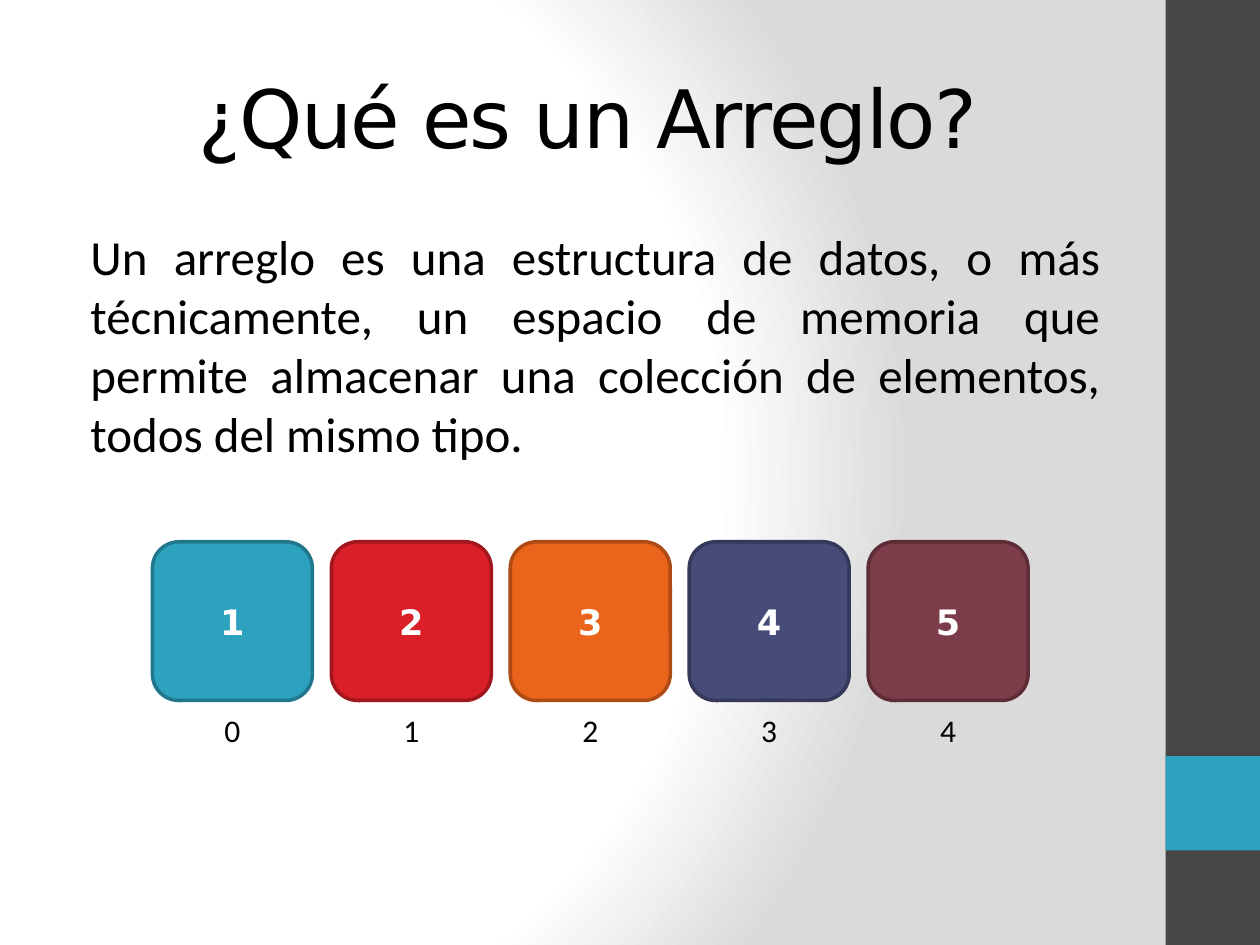
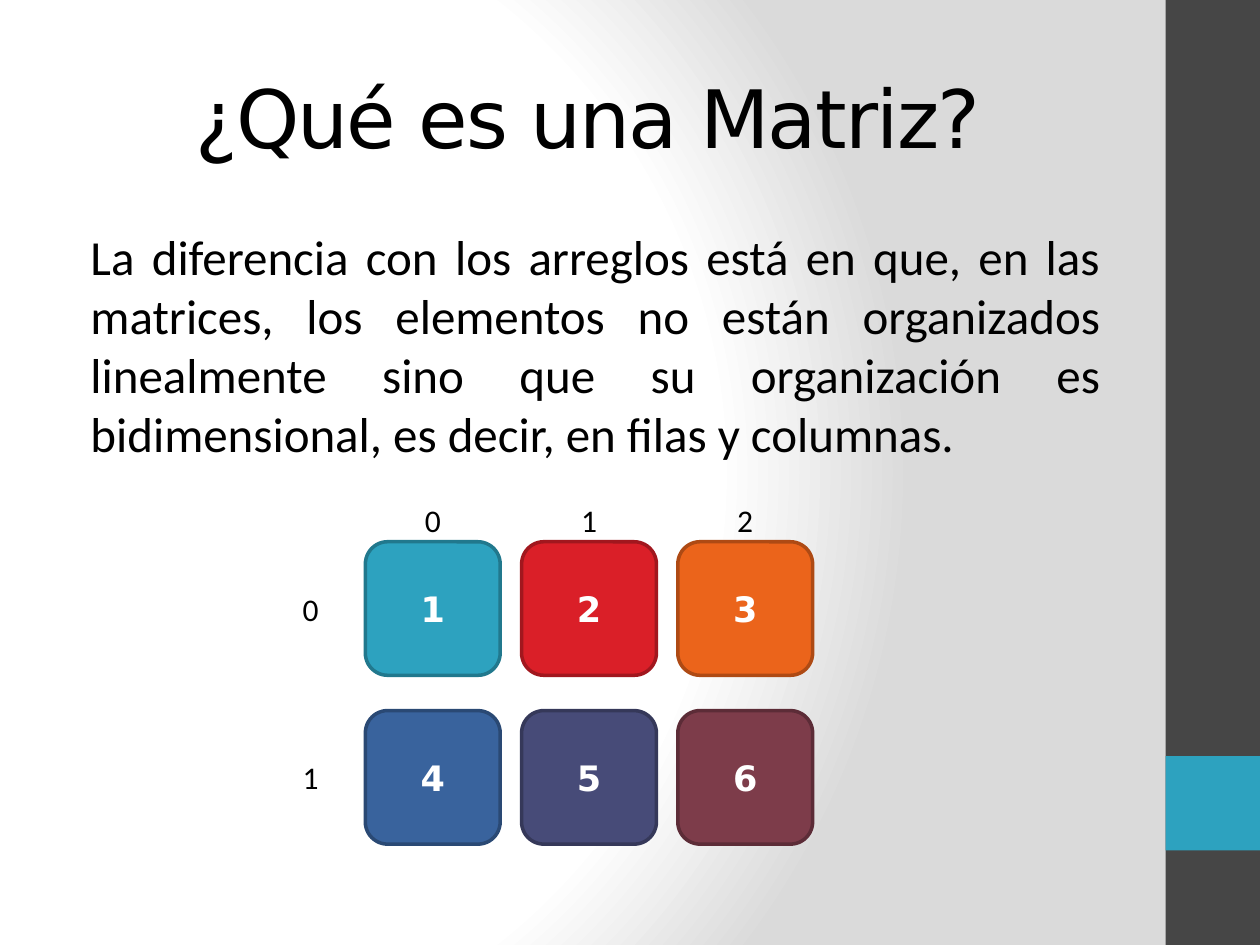
from pptx import Presentation
from pptx.dml.color import RGBColor
from pptx.enum.shapes import MSO_SHAPE
from pptx.enum.text import MSO_ANCHOR, PP_ALIGN
from pptx.oxml import parse_xml
from pptx.oxml.ns import nsdecls, qn
from pptx.util import Emu, Pt

RECT, ROUND_RECT = MSO_SHAPE.RECTANGLE, MSO_SHAPE.ROUNDED_RECTANGLE
TOP, MIDDLE = MSO_ANCHOR.TOP, MSO_ANCHOR.MIDDLE
CENTER, JUSTIFY = PP_ALIGN.CENTER, PP_ALIGN.JUSTIFY

# Colours
BLACK = RGBColor(0x00, 0x00, 0x00)
WHITE = RGBColor(0xFF, 0xFF, 0xFF)
LIGHT_GREY = RGBColor(0xDA, 0xDA, 0xDA)
DARK_GREY = RGBColor(0x46, 0x46, 0x46)
TEAL = RGBColor(0x2D, 0xA2, 0xBF)
RED = RGBColor(0xDA, 0x1F, 0x28)
ORANGE = RGBColor(0xEB, 0x64, 0x1B)
BLUE = RGBColor(0x39, 0x63, 0x9D)
INDIGO = RGBColor(0x47, 0x4B, 0x78)
WINE = RGBColor(0x7D, 0x3C, 0x4A)

TITLE_FONT, BODY_FONT = "DejaVu Sans", "Calibri"

# 100 px to the inch
SCALE = 9144
SLIDE_W, SLIDE_H = 1000, 750
BAND_X, BAND_W = 925, 75
LABEL_W, LABEL_H = 87, 40


def px(n):
    return Emu(n * SCALE)


def box(x, y, w, h):
    return px(x), px(y), px(w), px(h)


def darker(color):
    return RGBColor(*(round(c * 0.74) for c in color))


def set_background(master):
    fill = master.background.fill
    fill.solid()
    bg_pr = master.element.find(".//" + qn("p:bgPr"))
    stops = "".join(
        f'<a:gs pos="{pos}000"><a:srgbClr val="{color}"/></a:gs>'
        for pos, color in ((0, WHITE), (75, WHITE), (100, LIGHT_GREY)))
    bg_pr.replace(bg_pr[0], parse_xml(
        f'<a:gradFill {nsdecls("a")} rotWithShape="1"><a:gsLst>{stops}</a:gsLst>'
        '<a:path path="circle">'
        '<a:fillToRect l="20000" t="50000" r="100000" b="50000"/>'
        '</a:path></a:gradFill>'))


def write(sp, text, size, font, color=BLACK, bold=False, align=CENTER, anchor=TOP):
    tf = sp.text_frame
    tf.word_wrap = True
    tf.vertical_anchor = anchor
    p = tf.paragraphs[0]
    p.text = text
    p.alignment = align
    p.font.size = Pt(size)
    p.font.name = font
    p.font.bold = bold
    p.font.color.rgb = color
    return p


def add_block(s, kind, x, y, w, h, color):
    sp = s.shapes.add_shape(kind, *box(x, y, w, h))
    sp.shadow.inherit = False
    sp.fill.solid()
    sp.fill.fore_color.rgb = color
    sp.line.fill.background()
    return sp


def add_title(s, text):
    sp = s.shapes.add_textbox(*box(50, 30, 833, 125))
    write(sp, text, 46, TITLE_FONT, anchor=MIDDLE)
    for font in sp.element.iter(qn("a:defRPr")):
        font.set("spc", "-100")


def add_body(s, text):
    sp = s.shapes.add_textbox(*box(50, 175, 833, 98))
    p = write(sp, text, 28, BODY_FONT, align=JUSTIFY)
    p.space_before = Pt(2)
    for props in sp.element.iter(qn("a:pPr")):
        props.set("marL", str(px(12)))


def add_cell(s, x, y, w, h, value, color):
    sp = add_block(s, ROUND_RECT, x, y, w, h, color)
    sp.line.color.rgb = darker(color)
    sp.line.width = Pt(2)
    write(sp, str(value), 20, TITLE_FONT, WHITE, bold=True, anchor=MIDDLE)


def add_index(s, x, y, index):
    sp = s.shapes.add_textbox(*box(x, y, LABEL_W, LABEL_H))
    write(sp, str(index), 18, BODY_FONT)


def add_content_slide(prs, title, body):
    s = prs.slides.add_slide(prs.slide_layouts[6])
    add_block(s, RECT, BAND_X, 0, BAND_W, SLIDE_H, DARK_GREY)
    add_block(s, RECT, BAND_X, 600, BAND_W, BAND_W, TEAL)
    add_title(s, title)
    add_body(s, body)
    return s


def add_array(s):
    left, top, w, h, pitch = 121, 430, 127, 126, 142
    for i, color in enumerate((TEAL, RED, ORANGE, INDIGO, WINE)):
        x = left + i * pitch
        add_cell(s, x, top, w, h, i + 1, color)
        add_index(s, x + (w - LABEL_W) // 2, 559, i)


def add_matrix(s):
    left, top, w, h, col_pitch, row_pitch = 290, 430, 107, 106, 124, 134
    rows = ((TEAL, RED, ORANGE), (BLUE, INDIGO, WINE))
    for row, colors in enumerate(rows):
        y = top + row * row_pitch
        add_index(s, 203, y + (h - LABEL_H) // 2, row)
        for col, color in enumerate(colors):
            value = row * len(colors) + col + 1
            add_cell(s, left + col * col_pitch, y, w, h, value, color)
    for col in range(len(rows[0])):
        add_index(s, left + col * col_pitch + (w - LABEL_W) // 2, 393, col)


def main():
    prs = Presentation()
    prs.slide_width, prs.slide_height = px(SLIDE_W), px(SLIDE_H)
    set_background(prs.slide_master)

    # Arrays
    s = add_content_slide(
        prs, "¿Qué es un Arreglo?",
        "Un arreglo es una estructura de datos, o más técnicamente, un espacio "
        "de memoria que permite almacenar una colección de elementos, todos "
        "del mismo tipo.")
    add_array(s)

    # Matrices
    s = add_content_slide(
        prs, "¿Qué es una Matriz?",
        "La diferencia con los arreglos está en que, en las matrices, los "
        "elementos no están organizados linealmente sino que su organización "
        "es bidimensional, es decir, en filas y columnas.")
    add_matrix(s)

    prs.save("out.pptx")


if __name__ == "__main__":
    main()
